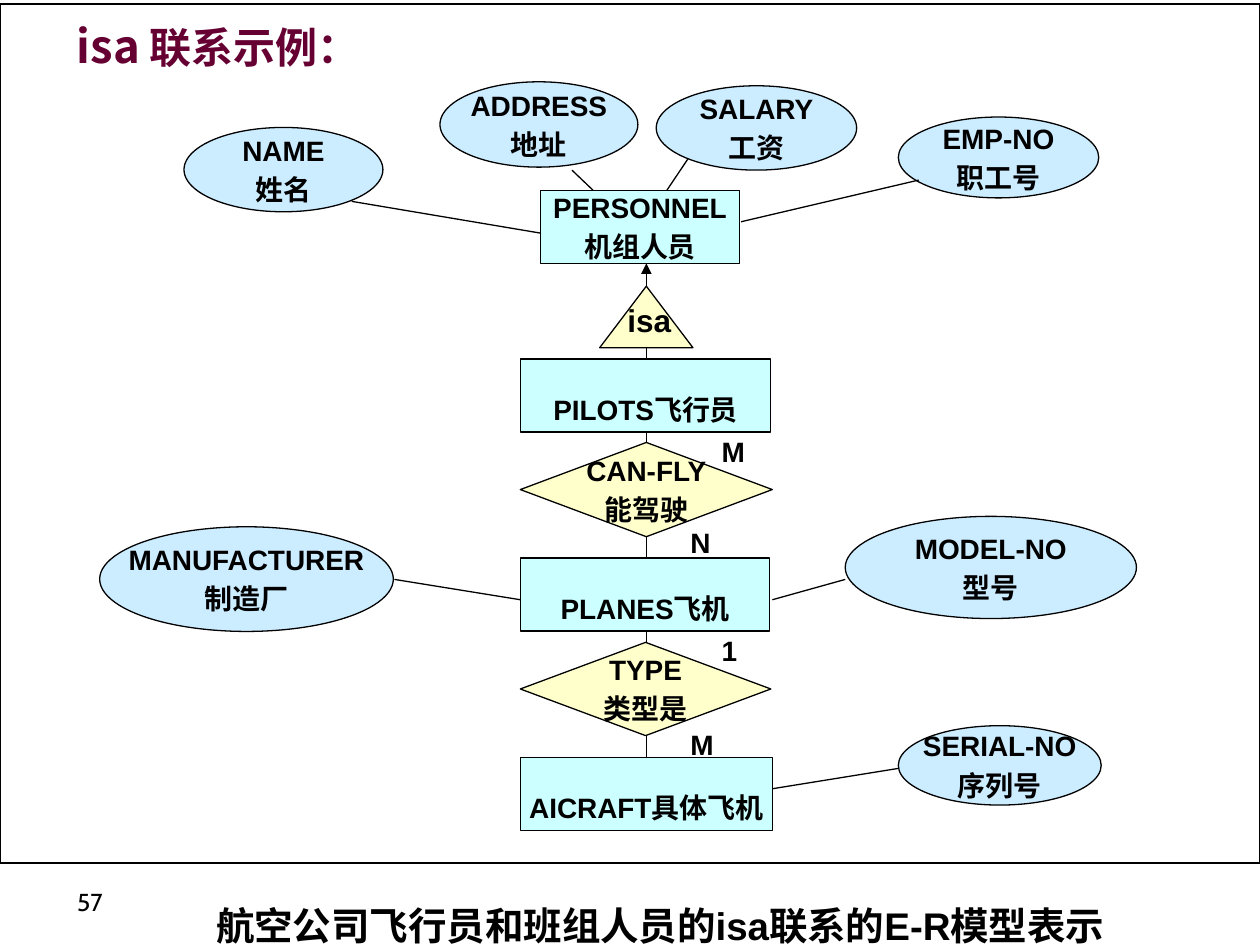
"""Build the isa relationship slide: an E-R model of airline pilots and crew."""
from itertools import pairwise

from lxml.etree import SubElement
from pptx import Presentation
from pptx.dml.color import RGBColor
from pptx.enum.shapes import MSO_CONNECTOR, MSO_SHAPE
from pptx.enum.text import MSO_ANCHOR, MSO_AUTO_SIZE, PP_ALIGN
from pptx.oxml.ns import qn
from pptx.util import Cm, Pt

BLACK = RGBColor(0x00, 0x00, 0x00)
WHITE = RGBColor(0xFF, 0xFF, 0xFF)
ENTITY_FILL = RGBColor(0xCC, 0xFF, 0xFF)
ATTRIBUTE_FILL = RGBColor(0xCC, 0xEC, 0xFF)
RELATION_FILL = RGBColor(0xFF, 0xFF, 0xCC)
TITLE_COLOR = RGBColor(0x66, 0x00, 0x33)
CHINESE_FONT = "Noto Sans CJK SC"
LABEL_SIZE = 16
LOOSE = 1.8
SPINE_X = 13.03

PANEL = (MSO_SHAPE.FLOWCHART_PROCESS, WHITE)
ENTITY = (MSO_SHAPE.RECTANGLE, ENTITY_FILL)
ATTRIBUTE = (MSO_SHAPE.OVAL, ATTRIBUTE_FILL)
RELATION = (MSO_SHAPE.FLOWCHART_DECISION, RELATION_FILL)
ISA = (MSO_SHAPE.ISOSCELES_TRIANGLE, RELATION_FILL)

SPINE = [
    (ENTITY, ["PERSONNEL", "机组人员"], (10.9, 3.84, 4.01, 1.47)),
    (ISA, [], (12.09, 5.77, 1.88, 1.24)),
    (ENTITY, ["PILOTS飞行员"], (10.49, 7.24, 5.05, 1.47)),
    (RELATION, ["CAN-FLY", "能驾驶"], (10.49, 8.92, 5.08, 1.9)),
    (ENTITY, ["PLANES飞机"], (10.49, 11.25, 5.03, 1.47)),
    (RELATION, ["TYPE", "类型是"], (10.49, 12.95, 5.05, 1.88)),
    (ENTITY, ["AICRAFT具体飞机"], (10.49, 15.27, 5.08, 1.47)),
]
ATTRIBUTES = [
    (["NAME", "姓名"], (3.71, 2.57, 4.01, 1.7), (7.09, 4.06, 10.9, 4.7)),
    (["ADDRESS", "地址"], (8.87, 1.65, 3.99, 1.72), (11.53, 3.43, 11.96, 3.84)),
    (["SALARY", "工资"], (13.23, 1.73, 4.04, 1.7), (13.87, 3.2, 13.44, 3.84)),
    (["EMP-NO", "职工号"], (18.11, 2.36, 4.04, 1.63), (18.52, 3.63, 14.94, 4.47)),
    (["MANUFACTURER", "制造厂"], (2.01, 10.62, 5.92, 2.11), (7.95, 11.68, 10.49, 12.09)),
    (["MODEL-NO", "型号"], (17.04, 10.41, 5.87, 2.06), (17.04, 11.68, 15.57, 12.09)),
    (["SERIAL-NO", "序列号"], (18.11, 14.63, 4.09, 1.6), (18.11, 15.49, 15.57, 15.9)),
]
CARDINALITIES = [("M", 14.3, 8.1), ("N", 13.67, 9.93), ("1", 14.3, 12.1), ("M", 13.67, 14)]
TITLE = [("isa", 26), (" 联系示例：", 24)]
CAPTION = "航空公司飞行员和班组人员的isa联系的E-R模型表示"


def add_run(paragraph, text, size, font="Arial", color=BLACK, bold=True):
    run = paragraph.add_run()
    run.text = text
    run.font.size = Pt(size)
    run.font.name = font
    run.font.bold = bold
    run.font.color.rgb = color
    SubElement(run.font._element, qn("a:ea"), typeface=CHINESE_FONT)


def add_box(slide, kind, place, lines=()):
    geometry, fill = kind
    shape = slide.shapes.add_shape(geometry, *map(Cm, place))
    shape.shadow.inherit = False
    shape.fill.solid()
    shape.fill.fore_color.rgb = fill
    shape.line.color.rgb = BLACK
    shape.line.width = Pt(0.75)
    frame = shape.text_frame
    frame.word_wrap = False
    frame.vertical_anchor = MSO_ANCHOR.MIDDLE
    for index, text in enumerate(lines):
        paragraph = frame.add_paragraph() if index else frame.paragraphs[0]
        paragraph.alignment = PP_ALIGN.CENTER
        if index:
            paragraph.space_before = Pt(LABEL_SIZE * 0.2)
        if len(lines) == 1:
            paragraph.line_spacing = LOOSE
        add_run(paragraph, text, LABEL_SIZE)


def add_text(slide, place, runs, align=PP_ALIGN.LEFT, anchor=MSO_ANCHOR.TOP,
             spacing=None, grow=True, **style):
    frame = slide.shapes.add_textbox(*map(Cm, place)).text_frame
    frame.word_wrap = True
    frame.vertical_anchor = anchor
    if grow:
        frame.auto_size = MSO_AUTO_SIZE.SHAPE_TO_FIT_TEXT
    paragraph = frame.paragraphs[0]
    paragraph.alignment = align
    if spacing:
        paragraph.line_spacing = spacing
    for text, size in runs:
        add_run(paragraph, text, size, **style)


def add_line(slide, ends, arrow=False):
    connector = slide.shapes.add_connector(MSO_CONNECTOR.STRAIGHT, *map(Cm, ends))
    connector.line.color.rgb = BLACK
    connector.line.width = Pt(0.75)
    if arrow:
        SubElement(connector.line._get_or_add_ln(), qn("a:tailEnd"), type="triangle")
    SubElement(connector._element.spPr, qn("a:effectLst"))


def main():
    presentation = Presentation()
    presentation.slide_width = Cm(25.4)
    presentation.slide_height = Cm(19.05)
    slide = presentation.slides.add_slide(presentation.slide_layouts[6])

    add_box(slide, PANEL, (0, 0.08, 25.4, 17.32))
    for kind, lines, place in SPINE:
        add_box(slide, kind, place, lines)
    for lines, place, _ in ATTRIBUTES:
        add_box(slide, ATTRIBUTE, place, lines)
    for _, _, ends in ATTRIBUTES:
        add_line(slide, ends)
    for (_, _, upper), (kind, _, lower) in pairwise(SPINE):
        add_line(slide, (SPINE_X, lower[1], SPINE_X, upper[1] + upper[3]), arrow=kind == ISA)

    for text, left, top in CARDINALITIES:
        add_text(slide, (left, top, 1.7, 0.94), [(text, LABEL_SIZE)], spacing=LOOSE)
    add_text(slide, (12.4, 5.94, 1.4, 1.17), [("isa", 18)])
    add_text(slide, (1.3, 0.23, 8.61, 1.35), TITLE, anchor=MSO_ANCHOR.BOTTOM,
             spacing=LOOSE, font=CHINESE_FONT, color=TITLE_COLOR)
    add_text(slide, (2.11, 17.32, 22.4, 1.19), [(CAPTION, 22)], PP_ALIGN.CENTER, spacing=LOOSE)
    add_text(slide, (0.69, 17.32, 1.63, 1.27), [("57", 14)], PP_ALIGN.RIGHT,
             MSO_ANCHOR.BOTTOM, grow=False, font="Cabin", bold=False)
    presentation.save("out.pptx")


if __name__ == "__main__":
    main()
